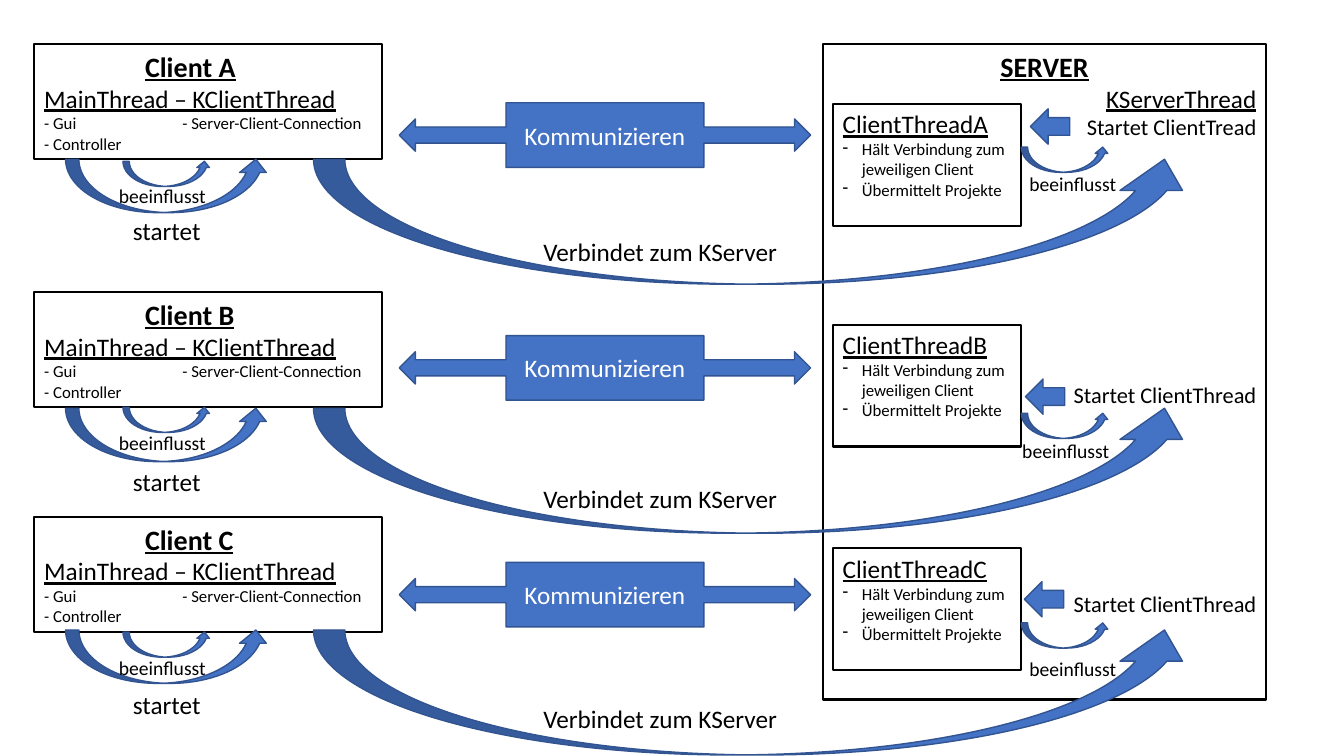
import pptx
import pptx.util
import pptx.dml.color
import pptx.enum.shapes
import pptx.enum.text
import lxml.etree

SHAPE = pptx.enum.shapes.MSO_SHAPE
ALIGN = pptx.enum.text.PP_ALIGN
ANCHOR = pptx.enum.text.MSO_ANCHOR
BLACK, WHITE, BLUE, DARK_BLUE = "000000", "FFFFFF", "4472C4", "325491"

# Left edges and widths of the columns, in inches
CLIENT = (0.34, 3.45)
LINK = (3.96, 4.08)
SERVER = (8.16, 4.4)
THREAD = (8.26, 1.87)

# Tops of the parts of each client's row; "start" and "note" are (left, top)
ROWS = [
    dict(name="A", client=0.44, link=1.02, thread=1.03, arcs=1.58, inner=1.6,
         launch=2.09, connect=2.3, affects=1.78,
         start=(10.22, 1.08), loop=1.46, note=(10.11, 1.66)),
    dict(name="B", client=2.9, link=3.33, thread=3.22, arcs=4.05, inner=4.04,
         launch=4.58, connect=4.75, affects=4.23,
         start=(10.17, 3.76), loop=4.1, note=(10.04, 4.31)),
    dict(name="C", client=5.13, link=5.58, thread=5.44, arcs=6.25, inner=6.27,
         launch=6.79, connect=6.93, affects=6.46,
         start=(10.16, 5.77), loop=6.18, note=(10.11, 6.47)),
]


def rgb(value):
    return pptx.dml.color.RGBColor.from_string(value)


def inches(*values):
    return [pptx.util.Inches(v) for v in values]


def add_par(tf, text, size, bold=False, underline=False, align=ALIGN.LEFT,
            color=BLACK, before=0):
    """Fill the first empty paragraph, or append one."""
    p = tf.paragraphs[0]
    if p.runs:
        p = tf.add_paragraph()
    p.alignment = align
    p.space_before = pptx.util.Pt(before)
    r = p.add_run()
    r.text = text
    r.font.name = "Calibri"
    r.font.size = pptx.util.Pt(size)
    r.font.bold = bold
    r.font.underline = underline
    r.font.color.rgb = rgb(color)
    return p


def add_child(p, tag, **attributes):
    """Append a DrawingML element to the paragraph's properties."""
    name = pptx.oxml.ns.qn(tag)
    return lxml.etree.SubElement(p._p.get_or_add_pPr(), name, attributes)


def add_tab(p, position):
    stops = add_child(p, "a:tabLst")
    lxml.etree.SubElement(stops, pptx.oxml.ns.qn("a:tab"),
                          pos=str(pptx.util.Inches(position)), algn="l")


def add_dash(p):
    indent = pptx.util.Inches(0.19)
    ppr = p._p.get_or_add_pPr()
    ppr.set("marL", str(indent))
    ppr.set("indent", str(-indent))
    add_child(p, "a:buChar", char="-")


def add_box(s, left, top, width, height):
    """Black outlined frame with text from the top."""
    sp = s.shapes.add_shape(SHAPE.RECTANGLE, *inches(left, top, width, height))
    sp.shadow.inherit = False
    sp.fill.background()
    sp.line.color.rgb = rgb(BLACK)
    sp.line.width = pptx.util.Pt(1.5)
    tf = sp.text_frame
    tf.word_wrap = True
    tf.vertical_anchor = ANCHOR.TOP
    return tf


def add_arrow(s, kind, left, top, width, height):
    sp = s.shapes.add_shape(kind, *inches(left, top, width, height))
    sp.shadow.inherit = False
    sp.fill.solid()
    sp.fill.fore_color.rgb = rgb(BLUE)
    sp.line.color.rgb = rgb(DARK_BLUE)
    sp.line.width = pptx.util.Pt(1)
    return sp


def add_label(s, text, size, left, top, width):
    sp = s.shapes.add_textbox(*inches(left, top, width, 0.4))
    sp.text_frame.word_wrap = True
    add_par(sp.text_frame, text, size)


def add_client(s, name, top):
    tf = add_box(s, CLIENT[0], top, CLIENT[1], 1.14)
    p = add_par(tf, "\t", 18)
    add_tab(p, 1)
    r = p.add_run()
    r.text = "Client " + name
    r.font.name = "Calibri"
    r.font.size = pptx.util.Pt(20)
    r.font.bold = r.font.underline = True
    r.font.color.rgb = rgb(BLACK)
    add_par(tf, "MainThread – KClientThread", 18, underline=True)
    add_tab(add_par(tf, "- Gui\t- Server-Client-Connection", 12), 1.37)
    add_par(tf, "- Controller", 12)


def add_server(s):
    tf = add_box(s, SERVER[0], 0.44, SERVER[1], 6.5)
    add_par(tf, "SERVER", 20, True, True, ALIGN.CENTER)
    add_par(tf, "KServerThread", 18, underline=True, align=ALIGN.RIGHT)
    for text, before in (("Startet ClientTread", 0),
                         ("Startet ClientThread", 172),
                         ("Startet ClientThread", 130)):
        add_par(tf, text, 16, align=ALIGN.RIGHT, before=before)


def add_thread(s, name, top):
    tf = add_box(s, THREAD[0], top, THREAD[1], 1.21)
    add_par(tf, "ClientThread" + name, 18, underline=True)
    for text in ("Hält Verbindung zum jeweiligen Client",
                 "Übermittelt Projekte"):
        add_dash(add_par(tf, text, 12))


def add_link(s, top):
    sp = add_arrow(s, SHAPE.LEFT_RIGHT_ARROW_CALLOUT,
                   LINK[0], top, LINK[1], 0.64)
    tf = sp.text_frame
    tf.vertical_anchor = ANCHOR.MIDDLE
    add_par(tf, "Kommunizieren", 18, align=ALIGN.CENTER, color=WHITE)


def add_flow(s, row):
    """Arrows and labels of one client's row."""
    arc = SHAPE.CURVED_UP_ARROW
    add_arrow(s, arc, 0.65, row["arcs"], 2.02, 0.53)
    add_label(s, "startet", 18, 1.22, row["launch"], 1)
    add_arrow(s, arc, 3.11, row["arcs"], 8.75, 1.24)
    add_label(s, "Verbindet zum KServer", 18, 5.29, row["connect"], 2.7)
    add_arrow(s, SHAPE.LEFT_ARROW, *row["start"], 0.39, 0.35)
    add_link(s, row["link"])
    add_arrow(s, arc, 1.22, row["inner"], 0.87, 0.25)
    add_arrow(s, arc, 10.13, row["loop"], 0.87, 0.25)
    add_label(s, "beeinflusst", 14, 1.08, row["affects"], 1.15)
    add_label(s, "beeinflusst", 14, *row["note"], 1.15)


def main():
    prs = pptx.Presentation()
    prs.slide_width, prs.slide_height = inches(13.33, 7.5)
    s = prs.slides.add_slide(prs.slide_layouts[6])
    # Frames first, so that the arrows lie above them
    add_server(s)
    for row in ROWS:
        add_client(s, row["name"], row["client"])
        add_thread(s, row["name"], row["thread"])
    for row in ROWS:
        add_flow(s, row)
    prs.save("out.pptx")


main()
